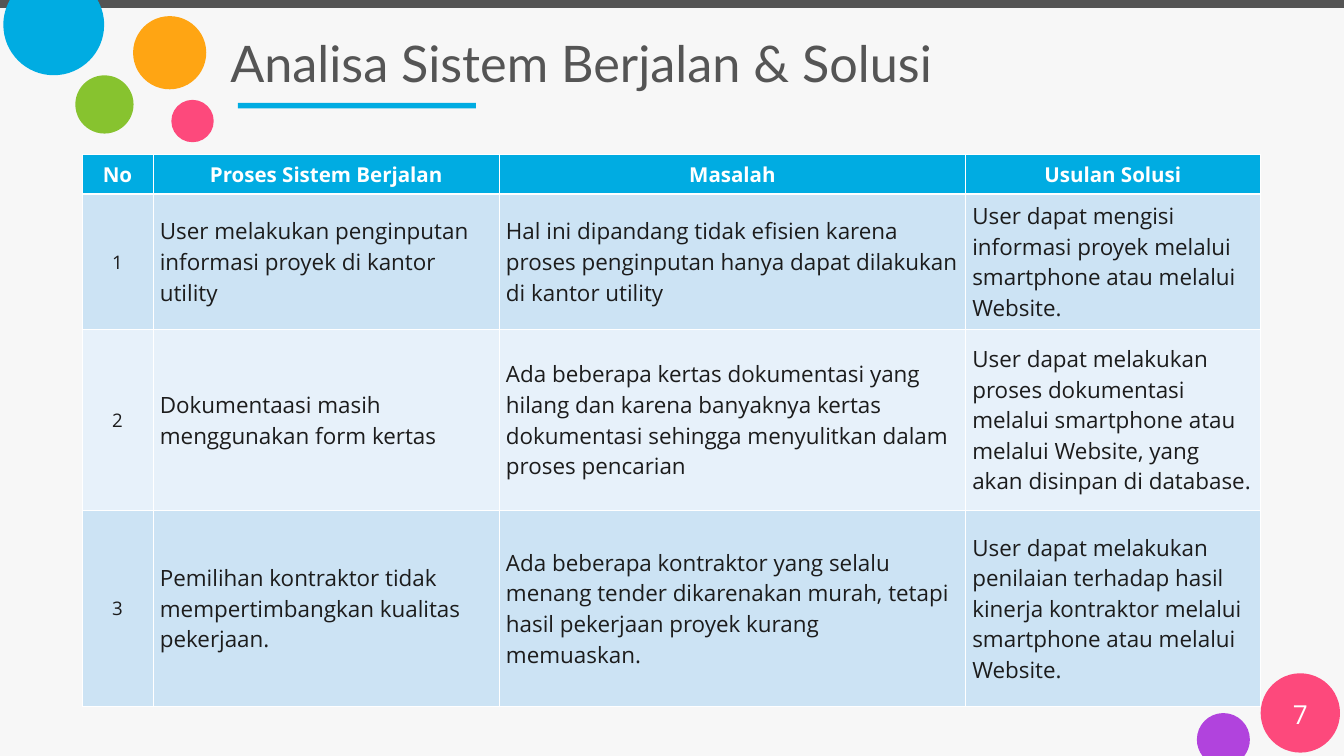
from math import asin, cos, pi, sin, tan
from typing import NamedTuple

from lxml import etree
from pptx import Presentation
from pptx import util as u
from pptx.dml.color import RGBColor
from pptx.enum import shapes, text
from pptx.oxml.ns import qn

WIDTH, HEIGHT = 1440, 810
BLUE, PINK, WHITE, INK = "00ACE2", "FD497C", "FFFFFF", "1C1C1C"
BANDS = ("CCE3F4", "E7F1FA")


class Dot(NamedTuple):
    x: float
    y: float
    radius: float
    color: str


class Bar(NamedTuple):
    left: float
    top: float
    width: float
    height: float
    color: str


class Style(NamedTuple):
    size: float
    color: str
    font: str = "Open Sans"
    bold: bool = False
    align: text.PP_ALIGN = text.PP_ALIGN.LEFT


BARS = [
    Bar(0, 0, WIDTH, 8.6, "545454"),
    Bar(254.9, 110.2, 255, 5.8, BLUE),
]
DOTS = [
    Dot(206.3, 129.7, 22.7, PINK),
    Dot(57.6, 26.6, 54, BLUE),
    Dot(111.9, 111.9, 31.2, "87C32F"),
    Dot(181.8, 56.5, 39.2, "FFA513"),
    Dot(1393.2, 763.9, 42.5, PINK),
    Dot(1310.8, 792.4, 28.4, "B143DD"),
]

TITLE = Style(54, "555555", "Lato")
PAGE_NUMBER = Style(28, WHITE, align=text.PP_ALIGN.CENTER)
HEADER = Style(22, WHITE, bold=True, align=text.PP_ALIGN.CENTER)
ROW_NUMBER = Style(20, INK, align=text.PP_ALIGN.CENTER)
BODY = Style(24, INK)

COLUMN_WIDTHS = [76.3, 370.8, 499.7, 315.4]
ROW_HEIGHTS = [42.4, 145.4, 193.7, 210.3]
ROWS = [
    ("No", "Proses Sistem Berjalan", "Masalah", "Usulan Solusi"),
    ("1",
     "User melakukan penginputan informasi proyek di kantor utility",
     "Hal ini dipandang tidak efisien karena proses penginputan hanya dapat "
     "dilakukan di kantor utility",
     "User dapat mengisi informasi proyek melalui smartphone atau melalui Website."),
    ("2",
     "Dokumentaasi masih menggunakan form kertas",
     "Ada beberapa kertas dokumentasi yang hilang dan karena banyaknya kertas "
     "dokumentasi sehingga menyulitkan dalam proses pencarian",
     "User dapat melakukan proses dokumentasi melalui smartphone atau melalui "
     "Website, yang akan disinpan di database."),
    ("3",
     "Pemilihan kontraktor tidak mempertimbangkan kualitas pekerjaan.",
     "Ada beberapa kontraktor yang selalu menang tender dikarenakan murah, tetapi "
     "hasil pekerjaan proyek kurang memuaskan.",
     "User dapat melakukan penilaian terhadap hasil kinerja kontraktor melalui "
     "smartphone atau melalui Website."),
]


def paint(fill, color: str) -> None:
    fill.solid()
    fill.fore_color.rgb = RGBColor.from_string(color)


def finish(shape, color: str) -> None:
    paint(shape.fill, color)
    shape.line.fill.background()
    shape.shadow.inherit = False


def draw_bar(page, bar: Bar) -> None:
    box = [u.Pt(v) for v in (bar.left, bar.top, bar.width, bar.height)]
    finish(page.shapes.add_shape(shapes.MSO_SHAPE.RECTANGLE, *box), bar.color)


def draw_dot(page, dot: Dot) -> None:
    top, bottom = dot.y - dot.radius, dot.y + dot.radius
    if top >= 0 and bottom <= HEIGHT:
        size = u.Pt(2 * dot.radius)
        shape = page.shapes.add_shape(
            shapes.MSO_SHAPE.OVAL, u.Pt(dot.x - dot.radius), u.Pt(top), size, size)
    else:
        shape = build_cut_dot(page, dot)
    finish(shape, dot.color)


def build_cut_dot(page, dot: Dot):
    """Build a circle cut flat at the top or bottom edge of the page."""
    at_top = dot.y < dot.radius
    gap = dot.y if at_top else HEIGHT - dot.y
    base, dip = (0 if at_top else pi), asin(gap / dot.radius)
    angles = [base - dip, base, base + pi / 2, base + pi, base + pi + dip]

    def place(angle: float, reach: float = 0) -> tuple[float, float]:
        """Point on the circle, moved along its tangent; hundredths of a point."""
        x = dot.x + dot.radius * (cos(angle) - reach * sin(angle))
        y = dot.y + dot.radius * (sin(angle) + reach * cos(angle))
        return 100 * x, 100 * y

    points = []
    for start, end in zip(angles, angles[1:]):
        reach = 4 / 3 * tan((end - start) / 4)
        points += [place(start, reach), place(end, -reach), place(end)]
    outline = page.shapes.build_freeform(*place(angles[0]), scale=u.Pt(0.01))
    outline.add_line_segments(points, close=True)
    shape = outline.convert_to_shape()

    # Turn each three line points into one curve
    lines = list(shape.element.iter(qn("a:lnTo")))
    for first, second, third in zip(lines[::3], lines[1::3], lines[2::3]):
        first.tag = qn("a:cubicBezTo")
        for line in (second, third):
            first.append(line[0])
            line.getparent().remove(line)
    return shape


def write(frame, words: str, style: Style) -> None:
    para = frame.paragraphs[0]
    para.alignment = style.align
    span = para.add_run()
    span.text = words
    span.font.name = style.font
    span.font.size = u.Pt(style.size)
    span.font.bold = style.bold
    span.font.color.rgb = RGBColor.from_string(style.color)


def draw_text(page, left: float, top: float, width: float, height: float,
              words: str, style: Style) -> None:
    box = page.shapes.add_textbox(u.Pt(left), u.Pt(top), u.Pt(width), u.Pt(height))
    frame = box.text_frame
    frame.word_wrap = True
    frame.vertical_anchor = text.MSO_ANCHOR.MIDDLE
    frame.margin_left = frame.margin_right = u.Pt(12.9)
    frame.margin_top = frame.margin_bottom = u.Pt(6.5)
    write(frame, words, style)


def add_border(cell, side: str, width: float) -> None:
    properties = cell._tc.get_or_add_tcPr()
    line = etree.SubElement(properties, qn(f"a:{side}"), w=str(u.Pt(width)))
    fill = etree.SubElement(line, qn("a:solidFill"))
    etree.SubElement(fill, qn("a:srgbClr"), val=WHITE)


def draw_table(page, left: float, top: float) -> None:
    table = page.shapes.add_table(
        len(ROWS), len(COLUMN_WIDTHS), u.Pt(left), u.Pt(top),
        u.Pt(sum(COLUMN_WIDTHS)), u.Pt(sum(ROW_HEIGHTS))).table
    for column, width in zip(table.columns, COLUMN_WIDTHS):
        column.width = u.Pt(width)
    for row, height in zip(table.rows, ROW_HEIGHTS):
        row.height = u.Pt(height)
    for r, entries in enumerate(ROWS):
        for c, words in enumerate(entries):
            cell = table.cell(r, c)
            cell.vertical_anchor = text.MSO_ANCHOR.MIDDLE
            is_header = r == 0
            borders = {"lnL": 1, "lnR": 1, "lnT": 3 if r == 1 else 1,
                       "lnB": 3 if is_header else 1}
            for side, width in borders.items():
                add_border(cell, side, width)
            paint(cell.fill, BLUE if is_header else BANDS[(r - 1) % 2])
            style = HEADER if is_header else ROW_NUMBER if c == 0 else BODY
            write(cell.text_frame, words, style)


def main() -> None:
    deck = Presentation()
    deck.slide_width, deck.slide_height = u.Pt(WIDTH), u.Pt(HEIGHT)
    page = deck.slides.add_slide(deck.slide_layouts[6])
    paint(page.background.fill, "F7F7F7")
    # Decoration
    for bar in BARS:
        draw_bar(page, bar)
    for dot in DOTS:
        draw_dot(page, dot)
    # Title and page number
    draw_text(page, 233.8, 19.4, 1193.8, 95, "Analisa Sistem Berjalan & Solusi", TITLE)
    draw_text(page, 1350.7, 743, 85, 43.2, "7", PAGE_NUMBER)
    # Analysis table
    draw_table(page, 87.8, 165.5)
    deck.save("out.pptx")


if __name__ == "__main__":
    main()
